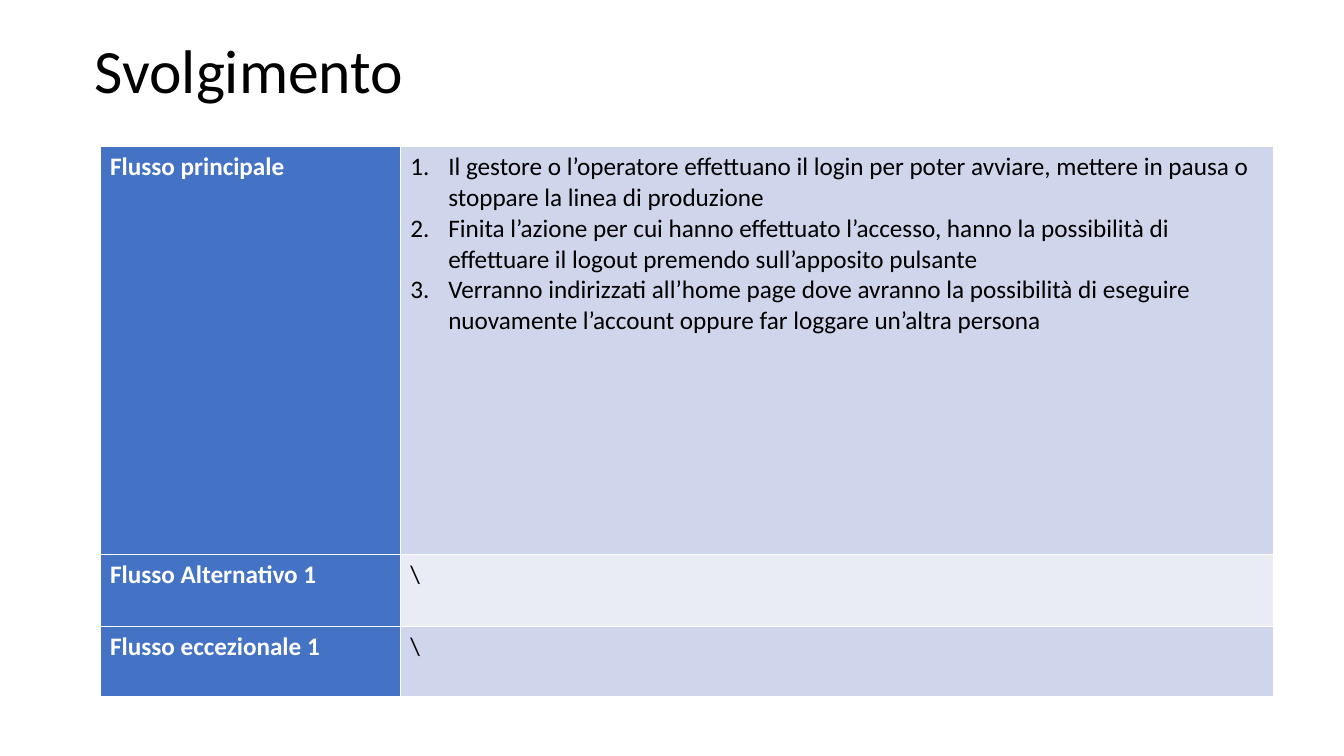
from lxml import etree
from pptx import Presentation
from pptx.dml.color import RGBColor
from pptx.enum.text import MSO_ANCHOR
from pptx.oxml.ns import qn
from pptx.util import Pt

MIDDLE = MSO_ANCHOR.MIDDLE
FONT = "Calibri"
INK = {
    "text": "000000",
    "label": "4472C4",
    "white": "FFFFFF",
    "dark": "CFD5EA",
    "light": "E9EBF5",
}
STEPS = [
    "Il gestore o l’operatore effettuano il login per poter avviare, mettere in pausa o "
    "stoppare la linea di produzione",
    "Finita l’azione per cui hanno effettuato l’accesso, hanno la possibilità di "
    "effettuare il logout premendo sull’apposito pulsante",
    "Verranno indirizzati all’home page dove avranno la possibilità di eseguire "
    "nuovamente l’account oppure far loggare un’altra persona",
]
FLOWS = [
    ("Flusso principale", STEPS, 291.5),
    ("Flusso Alternativo 1", ["\\"], 51),
    ("Flusso eccezionale 1", ["\\"], 50),
]
WIDTHS = (214.5, 624)


def color(name):
    return RGBColor.from_string(INK[name])


def style(para, size, name, bold=False):
    font = para.font
    font.name, font.size, font.bold = FONT, Pt(size), bold
    font.color.rgb = color(name)


def number(para):
    props = para._p.get_or_add_pPr()
    props.set("marL", str(Pt(27)))
    props.set("indent", str(Pt(-27)))
    bullet = etree.Element(qn("a:buAutoNum"), type="arabicPeriod")
    props.insert(0, bullet)


def border(cell):
    props = cell._tc.get_or_add_tcPr()
    for spot, side in enumerate(("lnL", "lnR", "lnT", "lnB")):
        line = etree.Element(qn("a:" + side), w=str(Pt(1)))
        fill = etree.SubElement(line, qn("a:solidFill"))
        etree.SubElement(fill, qn("a:srgbClr"), val=INK["white"])
        props.insert(spot, line)


def fill_cell(cell, lines, back, name, bold):
    cell.fill.solid()
    cell.fill.fore_color.rgb = color(back)
    border(cell)
    cell.text = "\n".join(lines)
    for para in cell.text_frame.paragraphs:
        style(para, 18, name, bold)
        if len(lines) > 1:
            number(para)


def add_title(slide, box, text):
    frame = slide.shapes.add_textbox(*map(Pt, box)).text_frame
    frame.word_wrap = True
    frame.vertical_anchor = MIDDLE
    frame.text = text
    para = frame.paragraphs[0]
    para.line_spacing = 0.9
    style(para, 44, "text")


def add_flows(slide, box):
    shape = slide.shapes.add_table(len(FLOWS), len(WIDTHS), *map(Pt, box))
    table = shape.table
    table.first_row = table.horz_banding = False
    for col, width in zip(table.columns, WIDTHS):
        col.width = Pt(width)
    for i, (label, lines, height) in enumerate(FLOWS):
        table.rows[i].height = Pt(height)
        fill_cell(table.cell(i, 0), [label], "label", "white", True)
        back = "light" if i % 2 else "dark"
        fill_cell(table.cell(i, 1), lines, back, "text", False)


deck = Presentation()
deck.slide_width, deck.slide_height = Pt(960), Pt(540)
slide = deck.slides.add_slide(deck.slide_layouts[6])
add_title(slide, (60.5, 0, 828, 104.4), "Svolgimento")
add_flows(slide, (71.5, 104.8, sum(WIDTHS), sum(flow[2] for flow in FLOWS)))
deck.save("out.pptx")
